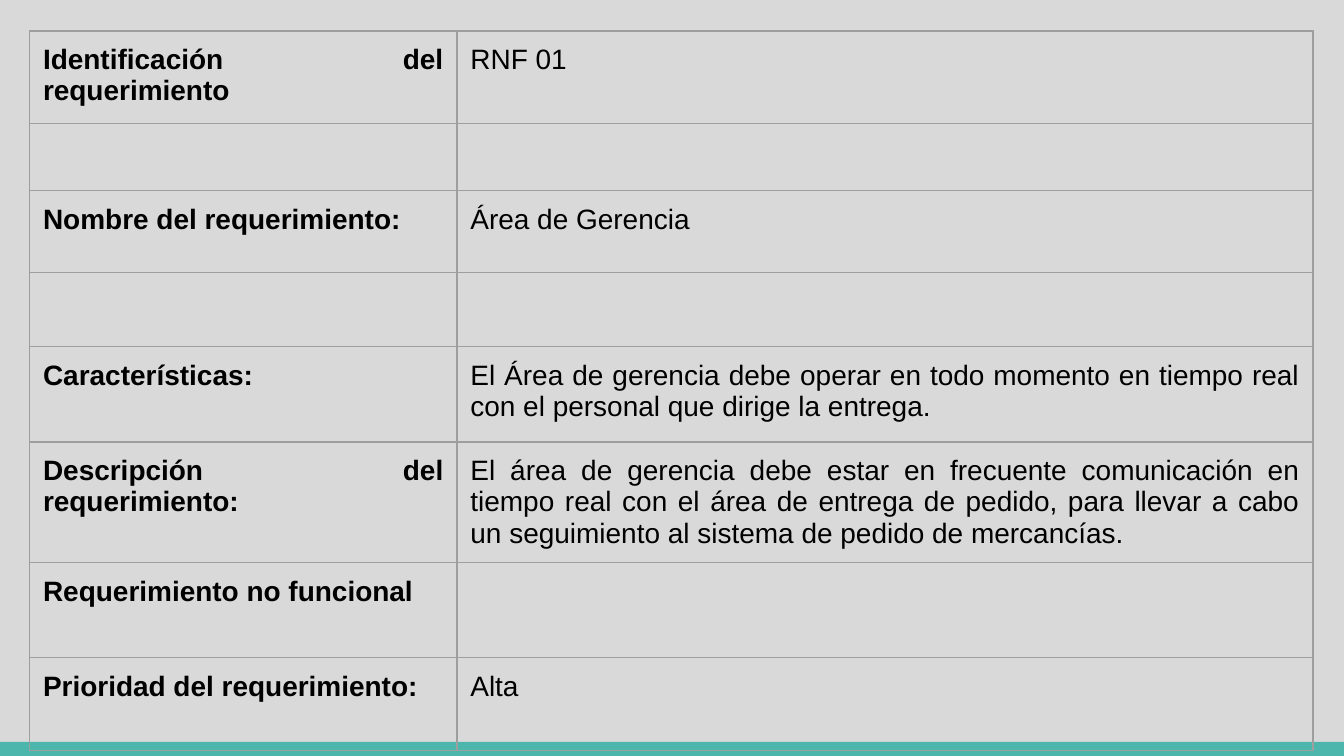
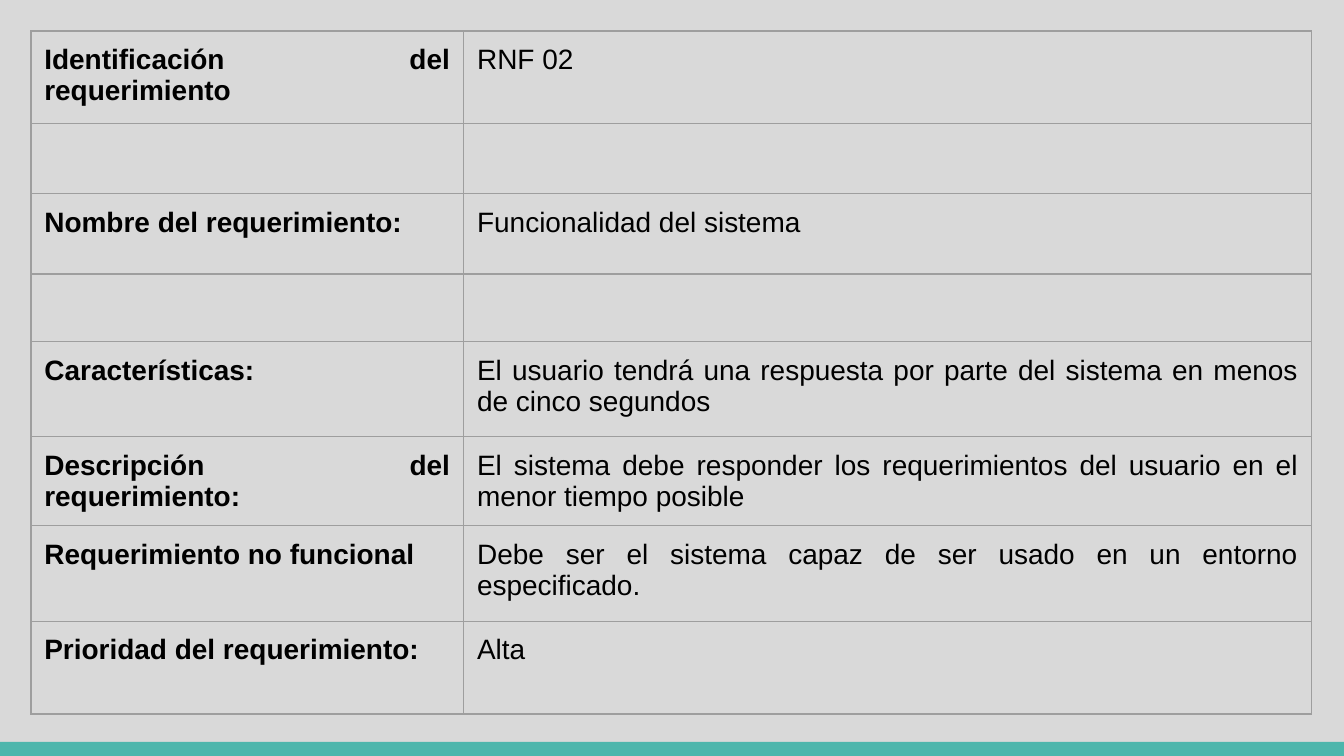
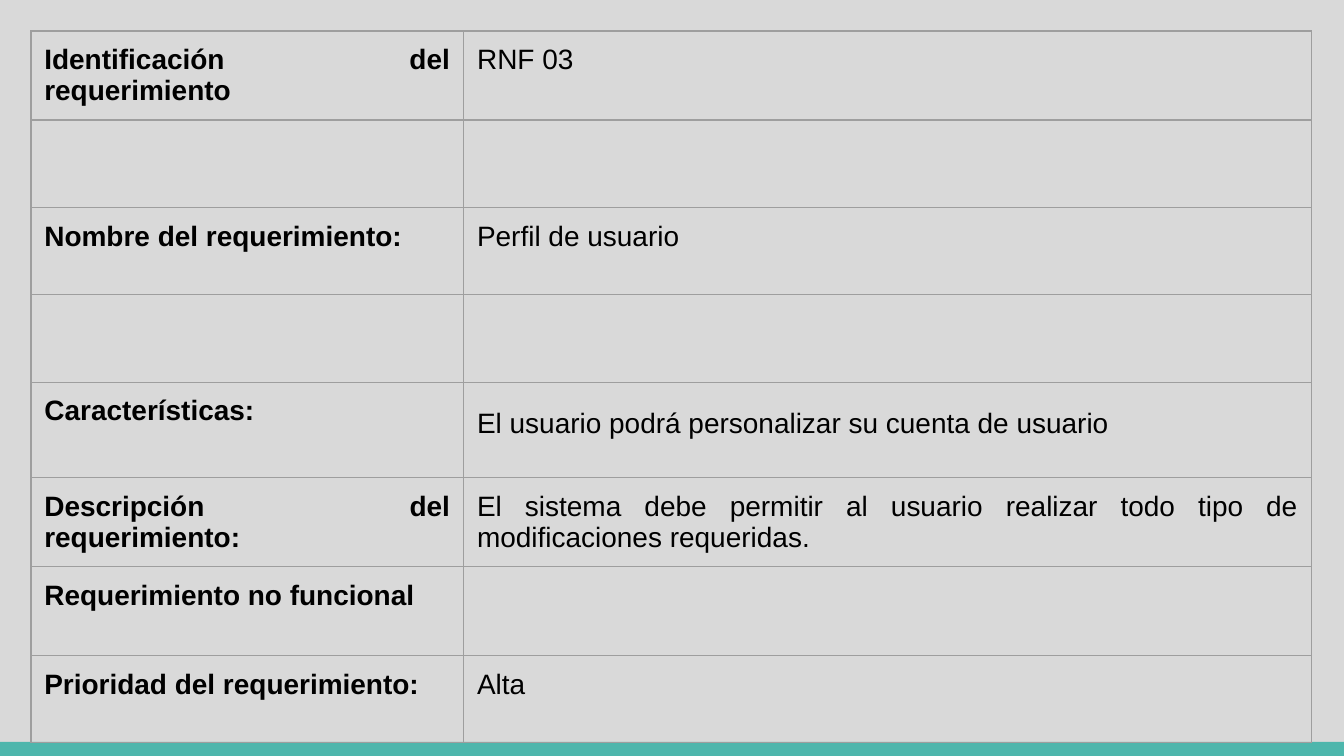
"""Build three slides of non-functional requirement tables."""
from lxml import etree
from pptx import Presentation
from pptx.dml.color import RGBColor
from pptx.enum import shapes, text
from pptx.oxml import ns
from pptx.util import Inches, Pt

BACKGROUND, BAND, BORDER, INK = "D9D9D9", "4DB6AC", "9E9E9E", "000000"
FONT, TEXT_SIZE, INSET, TABLE_TOP = "Arial", 15, 0.1, 0.23
WIDTH = 10
HEIGHT = WIDTH * 9 / 16
BAND_TOP = 5.52

LABELS = [
    "Identificación del requerimiento",
    "",
    "Nombre del requerimiento:",
    "",
    "Características:",
    "Descripción del requerimiento:",
    "Requerimiento no funcional",
    "Prioridad del requerimiento:",
]

REQUIREMENTS = [
    {
        "left": 0.22,
        "columns": [3.18, 6.37],
        "rows": [0.69, 0.5, 0.61, 0.55, 0.71, 0.71, 0.71, 0.69],
        "answers": [
            "RNF 01", "", "Área de Gerencia", "",
            "El Área de gerencia debe operar en todo momento en tiempo real con el personal "
            "que dirige la entrega.",
            "El área de gerencia debe estar en frecuente comunicación en tiempo real con el "
            "área de entrega de pedido, para llevar a cabo un seguimiento al sistema de "
            "pedido de mercancías.",
            "", "Alta",
        ],
    },
    {
        "left": 0.23,
        "columns": [3.22, 6.31],
        "rows": [0.69, 0.52, 0.6, 0.5, 0.71, 0.62, 0.71, 0.69],
        "answers": [
            "RNF 02", "", "Funcionalidad del sistema", "",
            "El usuario tendrá una respuesta por parte del sistema en menos de cinco segundos",
            "El sistema debe responder los requerimientos del usuario en el menor tiempo posible",
            "Debe ser el sistema capaz de ser usado en un entorno especificado.", "Alta",
        ],
    },
    {
        "left": 0.23,
        "columns": [3.22, 6.31],
        "rows": [0.65, 0.65, 0.65, 0.65, 0.71, 0.62, 0.66, 0.65],
        "answers": [
            "RNF 03", "", "Perfil de usuario", "",
            "El usuario podrá personalizar su cuenta de usuario",
            "El sistema debe permitir al usuario realizar todo tipo de modificaciones requeridas.",
            "", "Alta",
        ],
        "line_spacing": {4: 1.4},
    },
]


def color(value):
    return RGBColor.from_string(value)


def add_borders(cell):
    properties = cell._tc.get_or_add_tcPr()
    for side in ("lnL", "lnR", "lnT", "lnB"):
        line = etree.SubElement(properties, ns.qn(f"a:{side}"), w=str(Pt(0.75)))
        fill = etree.SubElement(line, ns.qn("a:solidFill"))
        etree.SubElement(fill, ns.qn("a:srgbClr"), val=BORDER)


deck = Presentation()
deck.slide_width, deck.slide_height = Inches(WIDTH), Inches(HEIGHT)

for requirement in REQUIREMENTS:
    slide = deck.slides.add_slide(deck.slide_layouts[6])
    slide.background.fill.solid()
    slide.background.fill.fore_color.rgb = color(BACKGROUND)

    band = slide.shapes.add_shape(
        shapes.MSO_SHAPE.RECTANGLE, 0, Inches(BAND_TOP), Inches(WIDTH),
        Inches(HEIGHT - BAND_TOP))
    band.shadow.inherit = False
    band.fill.solid()
    band.fill.fore_color.rgb = color(BAND)
    band.line.fill.background()

    columns, rows = requirement["columns"], requirement["rows"]
    sheet = slide.shapes.add_table(
        len(rows), len(columns), Inches(requirement["left"]), Inches(TABLE_TOP),
        Inches(sum(columns)), Inches(sum(rows))).table
    sheet.first_row = sheet.horz_banding = False
    for column, width in zip(sheet.columns, columns):
        column.width = Inches(width)
    for row, height in zip(sheet.rows, rows):
        row.height = Inches(height)

    for index, entry in enumerate(zip(LABELS, requirement["answers"])):
        for position, wording in enumerate(entry):
            cell = sheet.cell(index, position)
            add_borders(cell)
            cell.fill.background()
            if not wording:
                continue
            cell.margin_left = cell.margin_right = Inches(INSET)
            cell.margin_top = cell.margin_bottom = Inches(INSET)
            paragraph = cell.text_frame.paragraphs[0]
            paragraph.alignment = text.PP_ALIGN.JUSTIFY
            if position == 1:
                paragraph.line_spacing = requirement.get("line_spacing", {}).get(index)
            run = paragraph.add_run()
            run.text = wording
            run.font.name, run.font.size = FONT, Pt(TEXT_SIZE)
            run.font.bold = position == 0
            run.font.color.rgb = color(INK)

deck.save("out.pptx")
